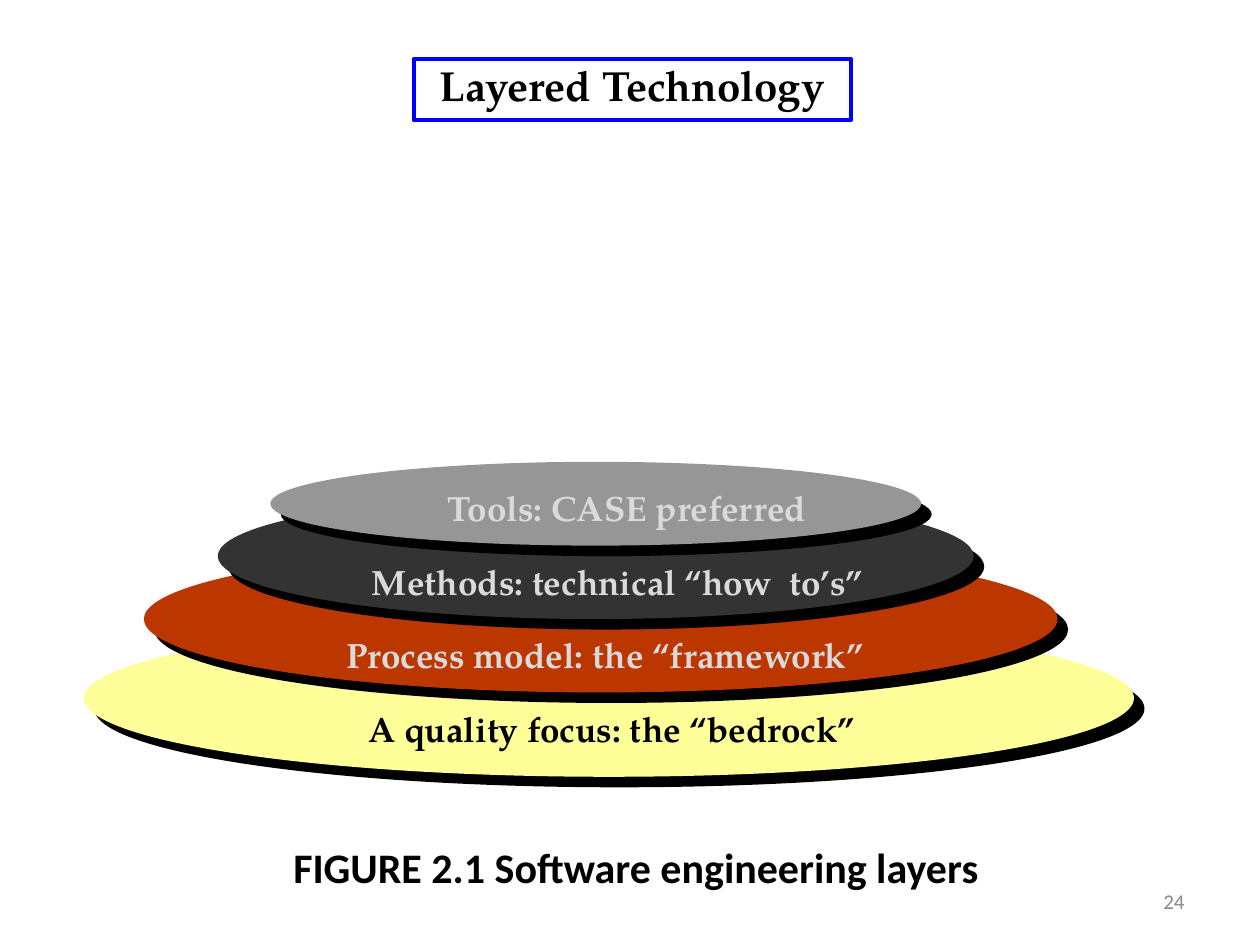
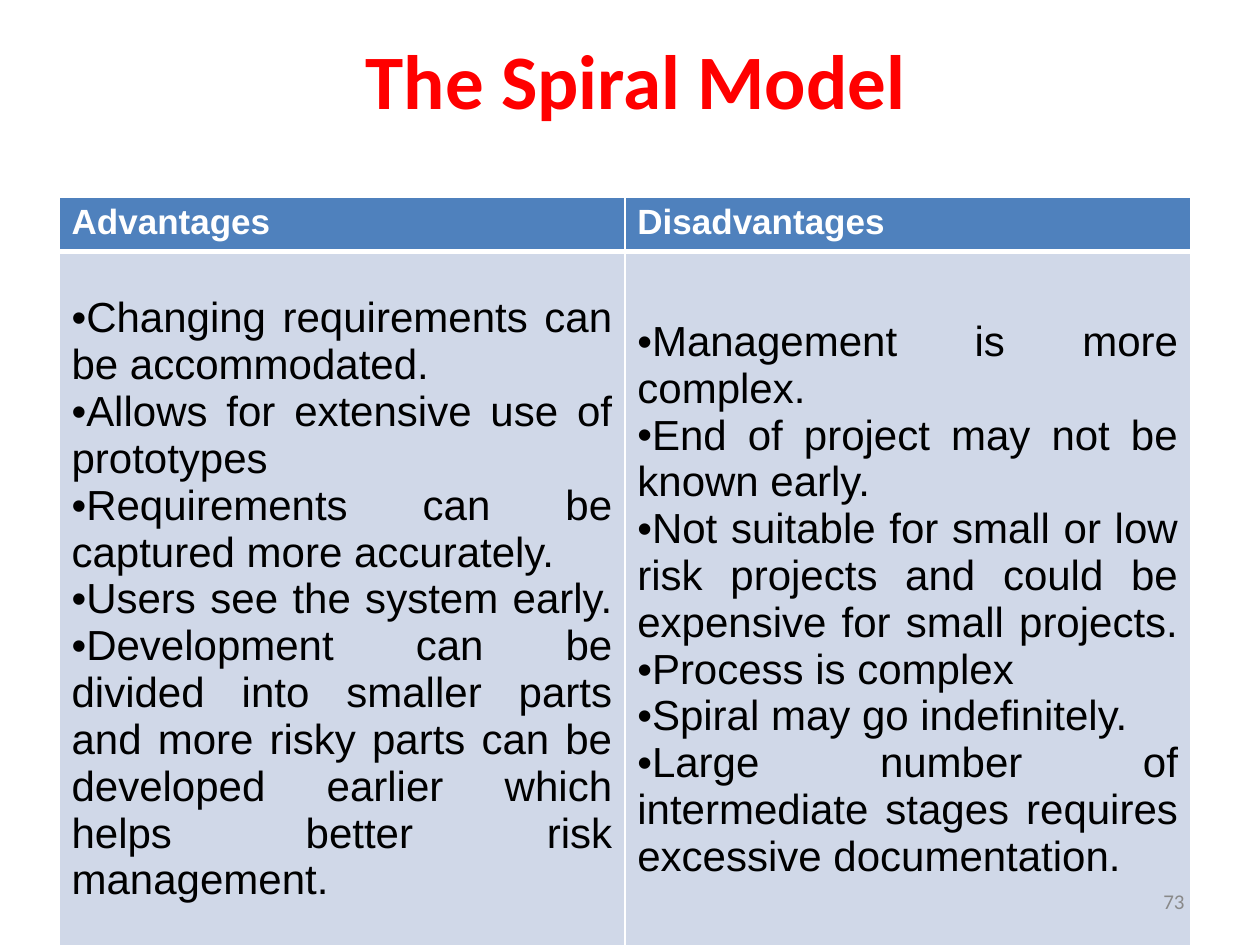
from dataclasses import dataclass

import lxml.etree
import pptx
import pptx.dml.color
import pptx.enum.shapes
import pptx.enum.text
import pptx.oxml.ns
import pptx.util

Cm = pptx.util.Cm
Pt = pptx.util.Pt
Align = pptx.enum.text.PP_ALIGN
Anchor = pptx.enum.text.MSO_ANCHOR
Shapes = pptx.enum.shapes.MSO_SHAPE
qn = pptx.oxml.ns.qn

COLOURS = {
    "black": "000000",
    "white": "FFFFFF",
    "red": "FF0000",
    "frame": "0000FF",
    "number": "898989",
    "pale": "DADADA",
    "bedrock": "FFFF99",
    "process": "BC3700",
    "methods": "333333",
    "tools": "969696",
    "header": "4F81BD",
    "body": "D0D8E8",
}
SERIF = "TeX Gyre Pagella"
SANS = "Calibri"
TABLE_FONT = "Arial"


@dataclass
class Box:
    """A rectangle on the slide, in centimetres."""
    left: float
    top: float
    width: float
    height: float

    def lengths(self) -> tuple:
        return Cm(self.left), Cm(self.top), Cm(self.width), Cm(self.height)


@dataclass
class Style:
    font: str
    size: float
    colour: str
    bold: bool = True
    align: Align = Align.LEFT


@dataclass
class Layer:
    colour: str
    ellipse: Box
    label: str
    label_left: float
    label_width: float
    label_colour: str = "pale"


@dataclass
class Column:
    heading: str
    points: list[str]


LAYERS = [  # from the bottom up
    Layer("bedrock", Box(1.69, 12.49, 21.17, 3.17),
          "A quality focus: the “bedrock”", 7.17, 10.69, "black"),
    Layer("process", Box(2.9, 11, 18.42, 2.96),
          "Process model: the “framework”", 6.73, 11.48),
    Layer("methods", Box(4.39, 9.94, 15.24, 2.54),
          "Methods: technical “how  to’s”", 7.25, 10.85),
    Layer("tools", Box(5.45, 9.31, 13.12, 1.69),
          "Tools: CASE preferred", 8.77, 8.08),
]
LABEL_BOTTOM_TOP = 14.13
LABEL_STEP = 1.48
LABEL_HEIGHT = 1.09

COLUMNS = [
    Column("Advantages ", [
        "Changing requirements can be accommodated.",
        "Allows for extensive use of prototypes",
        "Requirements can be captured more accurately. ",
        "Users see the system early. ",
        "Development can be divided into smaller parts and more risky parts "
        "can be developed earlier which helps better risk management. ",
    ]),
    Column("Disadvantages", [
        "Management is more complex.",
        "End of project may not be known early.",
        "Not suitable for small or low risk projects and could be expensive "
        "for small projects. ",
        "Process is complex ",
        "Spiral may go indefinitely. ",
        "Large number of intermediate stages requires excessive documentation.",
    ]),
]


def rgb(name: str) -> pptx.dml.color.RGBColor:
    return pptx.dml.color.RGBColor.from_string(COLOURS[name])


def write(text_frame, text: str, style: Style) -> None:
    """Set the text, one paragraph a line, then format every run."""
    text_frame.text = text
    for paragraph in text_frame.paragraphs:
        paragraph.alignment = style.align
        for run in paragraph.runs:
            run.font.name = style.font
            run.font.size = Pt(style.size)
            run.font.bold = style.bold
            run.font.color.rgb = rgb(style.colour)


def add_text(slide, box: Box, text: str, style: Style, wrap: bool = True):
    """Add wrapped text centred vertically, or a one-line box that fits its text."""
    shape = slide.shapes.add_textbox(*box.lengths())
    text_frame = shape.text_frame
    text_frame.word_wrap = wrap
    if wrap:
        text_frame.vertical_anchor = Anchor.MIDDLE
    else:
        text_frame.auto_size = pptx.enum.text.MSO_AUTO_SIZE.SHAPE_TO_FIT_TEXT
    write(text_frame, text, style)
    return shape


def add_slide(presentation, title: str, title_top: float, title_size: float,
              title_colour: str, number: int):
    """Add a blank slide with its title; return it and a call that adds its number."""
    slide = presentation.slides.add_slide(presentation.slide_layouts[6])
    add_text(slide, Box(1.39, title_top, 22.86, 3.18), title,
             Style(SANS, title_size, title_colour, align=Align.CENTER))
    return slide, lambda: add_text(
        slide, Box(18.2, 17.65, 5.93, 1.02), str(number),
        Style(SANS, 12, "number", bold=False, align=Align.RIGHT))


def add_hard_shadow(shape) -> None:
    shape.shadow.inherit = False
    effects = shape._element.spPr.find(qn("a:effectLst"))
    shadow = lxml.etree.SubElement(
        effects, qn("a:outerShdw"), dist=str(Pt(8.5)), dir=str(45 * 60000),
        algn="ctr", rotWithShape="0")
    lxml.etree.SubElement(shadow, qn("a:srgbClr"), val=COLOURS["black"])


def add_layer(slide, layer: Layer) -> None:
    ellipse = slide.shapes.add_shape(Shapes.OVAL, *layer.ellipse.lengths())
    ellipse.fill.solid()
    ellipse.fill.fore_color.rgb = rgb(layer.colour)
    ellipse.line.fill.background()
    add_hard_shadow(ellipse)


def add_layer_label(slide, layer: Layer, level: int) -> None:
    top = LABEL_BOTTOM_TOP - level * LABEL_STEP
    box = Box(layer.label_left, top, layer.label_width, LABEL_HEIGHT)
    add_text(slide, box, layer.label, Style(SERIF, 20, layer.label_colour), wrap=False)


def set_borders(cell, widths: dict[str, float]) -> None:
    """Draw white borders; call before the fill is set."""
    properties = cell._tc.get_or_add_tcPr()
    for side, width in widths.items():
        line = lxml.etree.SubElement(properties, qn(f"a:ln{side}"), w=str(Pt(width)))
        fill = lxml.etree.SubElement(line, qn("a:solidFill"))
        lxml.etree.SubElement(fill, qn("a:srgbClr"), val=COLOURS["white"])


def fill_cell(cell, text: str, style: Style, colour: str,
              top: float, bottom: float) -> None:
    set_borders(cell, {"L": 1, "R": 1, "T": top, "B": bottom})
    cell.fill.solid()
    cell.fill.fore_color.rgb = rgb(colour)
    write(cell.text_frame, text, style)


def add_bullets(text_frame) -> None:
    for paragraph in text_frame.paragraphs:
        properties = paragraph._p.get_or_add_pPr()
        lxml.etree.SubElement(properties, qn("a:buFont"), typeface=TABLE_FONT)
        lxml.etree.SubElement(properties, qn("a:buChar"), char="•")


def add_comparison(slide, box: Box, columns: list[Column]) -> None:
    header_height = 1.04
    table = slide.shapes.add_table(2, len(columns), *box.lengths()).table
    table.horz_banding = False
    table.rows[0].height = Cm(header_height)
    table.rows[1].height = Cm(box.height - header_height)
    header_style = Style(TABLE_FONT, 20, "white", align=Align.JUSTIFY)
    body_style = Style(TABLE_FONT, 24, "black", bold=False, align=Align.JUSTIFY)
    for index, column in enumerate(columns):
        table.columns[index].width = Cm(box.width / len(columns))
        fill_cell(table.cell(0, index), column.heading, header_style, "header", 1, 3)
        body = table.cell(1, index)
        fill_cell(body, "\n".join(column.points), body_style, "body", 3, 1)
        body.vertical_anchor = Anchor.MIDDLE
        add_bullets(body.text_frame)


def build_layers_slide(presentation) -> None:
    slide, add_number = add_slide(
        presentation, "FIGURE 2.1 Software engineering layers", 15.88, 24, "black", 24)
    heading = add_text(slide, Box(8.34, 1.19, 8.81, 1.24), "Layered Technology",
                       Style(SERIF, 24, "black", align=Align.CENTER), wrap=False)
    heading.text_frame.paragraphs[0].line_spacing = 0.9
    heading.line.color.rgb = rgb("frame")
    heading.line.width = Pt(2.25)
    for layer in LAYERS:
        add_layer(slide, layer)
    for level, layer in enumerate(LAYERS):
        add_layer_label(slide, layer, level)
    add_number()


def build_spiral_slide(presentation) -> None:
    slide, add_number = add_slide(presentation, "The Spiral Model", 0, 44, "red", 73)
    add_comparison(slide, Box(1.19, 3.97, 22.81, 15.06), COLUMNS)
    add_number()


def main() -> None:
    presentation = pptx.Presentation()
    presentation.slide_width = Cm(25.4)
    presentation.slide_height = Cm(19.05)
    build_layers_slide(presentation)
    build_spiral_slide(presentation)
    presentation.save("out.pptx")


if __name__ == "__main__":
    main()
